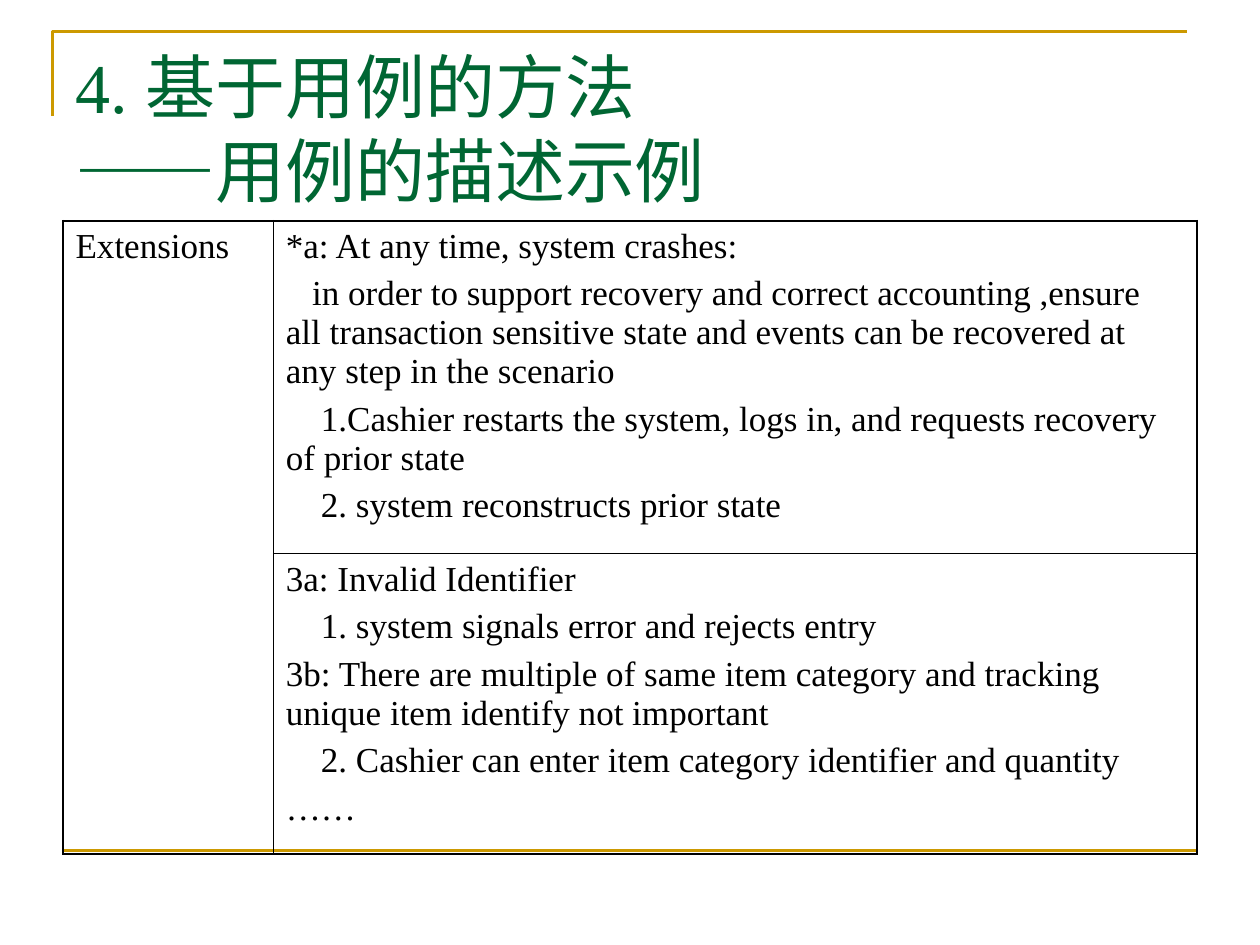
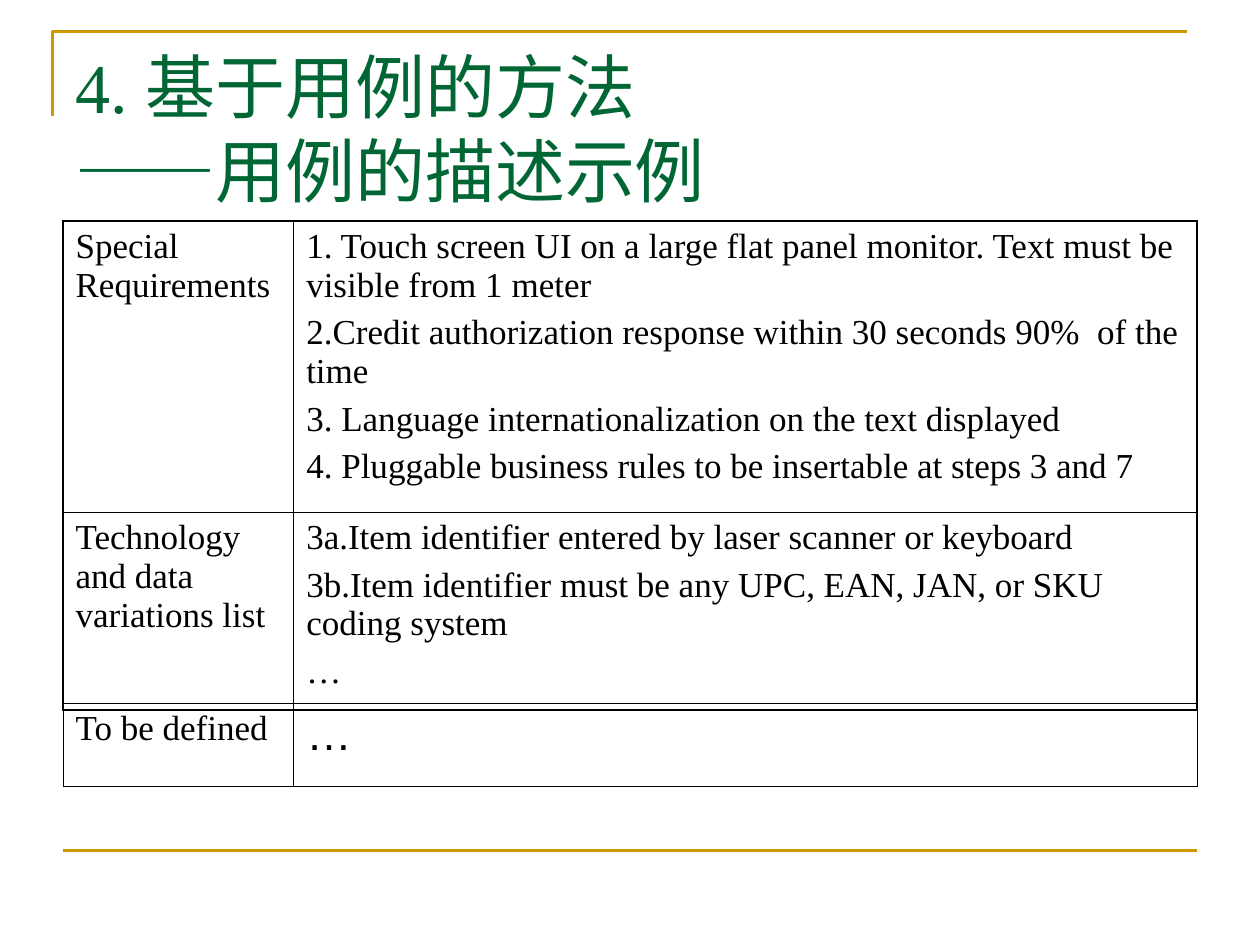
import dataclasses

import lxml.etree
import pptx
import pptx.dml.color
import pptx.enum.shapes
import pptx.enum.text
import pptx.oxml.ns
import pptx.util

Cm = pptx.util.Cm
Pt = pptx.util.Pt
qn = pptx.oxml.ns.qn


@dataclasses.dataclass(frozen=True)
class Theme:
    title_color: str = "006633"
    accent: str = "CC9900"
    ink: str = "000000"
    serif: str = "Times New Roman"
    sans: str = "Arial"
    title_size: float = 40
    body_size: float = 20
    ellipsis_size: float = 26
    accent_width: float = 1.5
    outer_border: float = 1.08
    inner_border: float = 0.45
    paragraph_gap: float = 5
    left: float = 1.27
    width: float = 22.86


TITLE_LINES = [
    [("4. 基于用例的方法", "serif")],
    [("——", "sans"), ("用例的描述示例", "serif")],
]

EXTENSIONS = [
    [
        ["Extensions"],
        [
            "*a: At any time, system crashes:",
            ("in order to support recovery and correct accounting ,ensure all transaction "
             "sensitive state and events can be recovered at any step in the scenario", 15),
            ("1.Cashier restarts the system, logs in, and requests recovery of prior state", 20),
            ("2. system reconstructs prior state", 20),
        ],
    ],
    [
        [],
        [
            "3a: Invalid Identifier",
            ("1. system signals error and rejects entry", 20),
            "3b: There are multiple of same item category and tracking unique item "
            "identify not important",
            ("2. Cashier can enter item category identifier and quantity", 20),
            "……",
        ],
    ],
]

REQUIREMENTS = [
    [
        ["Special Requirements"],
        [
            "1. Touch screen UI on a large flat panel monitor. Text must be visible from 1 meter",
            "2.Credit authorization response within 30 seconds 90%  of the time",
            "3. Language internationalization on the text displayed",
            "4. Pluggable business rules to be insertable at steps 3 and 7",
        ],
    ],
    [
        ["Technology and data variations list"],
        [
            "3a.Item identifier entered by laser scanner or keyboard",
            "3b.Item identifier must be any UPC, EAN, JAN, or SKU coding system",
            "…",
        ],
    ],
]

TO_BE_DEFINED = [[["To be defined"], ["…"]]]


def apply(target, values):
    for name, value in values.items():
        setattr(target, name, value)


class Deck:
    def __init__(self, theme):
        self.theme = theme
        self.presentation = pptx.Presentation()
        apply(self.presentation, {"slide_width": Cm(25.4), "slide_height": Cm(19.05)})
        self.slide = None

    def add_slide(self):
        self.slide = self.presentation.slides.add_slide(self.presentation.slide_layouts[5])
        self.add_title()
        self.add_bracket()
        self.add_footer_line()

    def style_font(self, font, name, size, color):
        apply(font, {"name": name, "size": Pt(size), "bold": False})
        font.color.rgb = pptx.dml.color.RGBColor.from_string(color)

    def style_line(self, line):
        line.color.rgb = pptx.dml.color.RGBColor.from_string(self.theme.accent)
        line.width = Pt(self.theme.accent_width)

    def add_title(self):
        title = self.slide.shapes.title
        apply(title, {"left": Cm(self.theme.left), "top": Cm(0.76),
                      "width": Cm(self.theme.width), "height": Cm(3.18)})
        apply(title.text_frame, {"word_wrap": True,
                                 "auto_size": pptx.enum.text.MSO_AUTO_SIZE.NONE,
                                 "vertical_anchor": pptx.enum.text.MSO_ANCHOR.TOP})
        paragraph = title.text_frame.paragraphs[0]
        paragraph.alignment = pptx.enum.text.PP_ALIGN.LEFT
        for number, line in enumerate(TITLE_LINES):
            if number:
                paragraph.add_line_break()
            for text, family in line:
                run = paragraph.add_run()
                run.text = text
                self.style_font(run.font, getattr(self.theme, family),
                                self.theme.title_size, self.theme.title_color)

    def add_bracket(self):
        left, top, bottom = Cm(1.06), Cm(0.64), Cm(2.34)
        builder = self.slide.shapes.build_freeform(left, bottom)
        builder.add_line_segments([(left, top), (left + Cm(self.theme.width), top)], close=False)
        bracket = builder.convert_to_shape()
        bracket.shadow.inherit = False
        bracket.fill.background()
        self.style_line(bracket.line)

    def add_footer_line(self):
        left, top = Cm(self.theme.left), Cm(17.15)
        connector = self.slide.shapes.add_connector(
            pptx.enum.shapes.MSO_CONNECTOR.STRAIGHT,
            left, top, left + Cm(self.theme.width), top)
        self.style_line(connector.line)
        lxml.etree.SubElement(connector._element.spPr, qn("a:effectLst"))

    def add_table(self, rows, top, heights, label_width, outer, merge_labels=False,
                  last_font=None):
        shape = self.slide.shapes.add_table(
            len(rows), 2, Cm(self.theme.left), Cm(top), Cm(self.theme.width), Cm(sum(heights)))
        table = shape.table
        apply(table, {"first_row": False, "horz_banding": False})
        for column, width in zip(table.columns, (label_width, self.theme.width - label_width)):
            column.width = Cm(width)
        for row, height in zip(table.rows, heights):
            row.height = Cm(height)
        if merge_labels:
            table.cell(0, 0).merge(table.cell(len(rows) - 1, 0))
        for row_index, row in enumerate(rows):
            for column_index, paragraphs in enumerate(row):
                cell = table.cell(row_index, column_index)
                edges = {
                    "a:lnL": column_index == 0,
                    "a:lnR": column_index == 1,
                    "a:lnT": row_index == 0,
                    "a:lnB": row_index + cell.span_height == len(rows),
                }
                for tag, is_outer in edges.items():
                    self.add_border(cell, tag, outer if is_outer else self.theme.inner_border)
                cell.fill.background()
                font = last_font if last_font and column_index else (
                    self.theme.serif, self.theme.body_size)
                self.fill_cell(cell, paragraphs, font)

    def add_border(self, cell, tag, width):
        properties = cell._tc.get_or_add_tcPr()
        border = lxml.etree.SubElement(properties, qn(tag), w=str(int(Pt(width))))
        fill = lxml.etree.SubElement(border, qn("a:solidFill"))
        lxml.etree.SubElement(fill, qn("a:srgbClr"), val=self.theme.ink)

    def fill_cell(self, cell, paragraphs, font):
        for number, entry in enumerate(paragraphs):
            text, indent = entry if isinstance(entry, tuple) else (entry, 0)
            frame = cell.text_frame
            paragraph = frame.add_paragraph() if number else frame.paragraphs[0]
            if number:
                paragraph.space_before = Pt(self.theme.paragraph_gap)
            if indent:
                properties = paragraph._p.get_or_add_pPr()
                properties.set("marL", "0")
                properties.set("indent", str(int(Pt(indent))))
            run = paragraph.add_run()
            run.text = text
            self.style_font(run.font, *font, self.theme.ink)


def main():
    theme = Theme()
    deck = Deck(theme)

    deck.add_slide()
    deck.add_table(EXTENSIONS, 4.45, (6.71, 6.05), 4.24, theme.outer_border, merge_labels=True)

    deck.add_slide()
    deck.add_table(REQUIREMENTS, 4.45, (5.87, 3.99), 4.65, theme.outer_border)
    deck.add_table(TO_BE_DEFINED, 14.17, (1.69,), 4.65, theme.inner_border,
                   last_font=(theme.sans, theme.ellipsis_size))

    deck.presentation.save("out.pptx")


if __name__ == "__main__":
    main()
